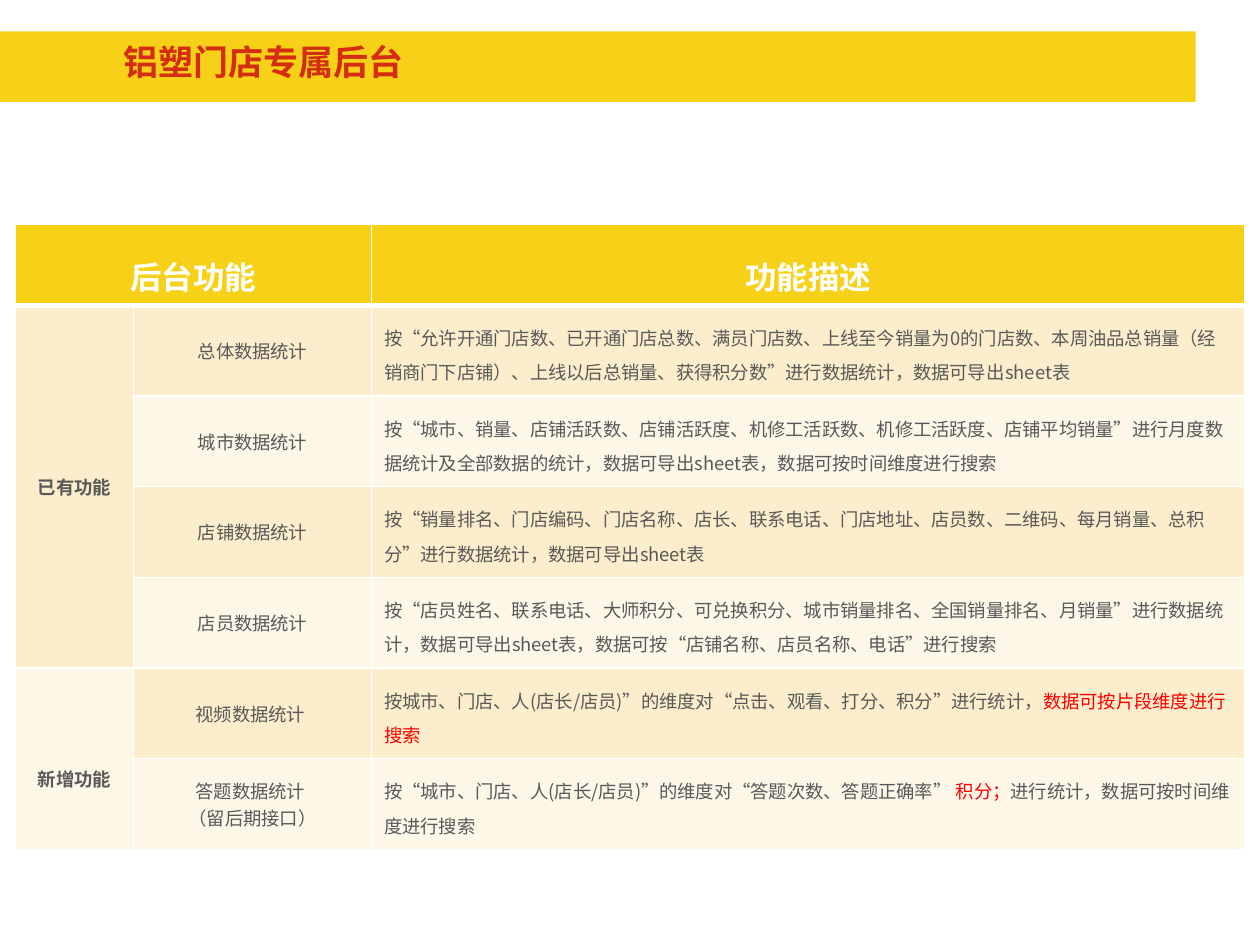
import pptx
import pptx.util
import pptx.dml.color
import pptx.enum.shapes
import pptx.enum.text
from lxml import etree
from pptx.oxml.ns import qn

Inches, Pt = pptx.util.Inches, pptx.util.Pt
PP, MSO = pptx.enum.text.PP_ALIGN, pptx.enum.text.MSO_ANCHOR

HEX = {"gold": "F7D117", "title": "D42E12", "white": "FFFFFF", "grey": "595959",
       "red": "FF0000", "dark": "FCEECC", "light": "FDF7E8"}
SANS = "Noto Sans CJK SC"
HEAD = {"size": Pt(18), "bold": True, "name": SANS}
GROUP = {"size": Pt(10.5), "bold": True, "name": SANS}
BODY = {"size": Pt(10.5), "bold": False, "name": SANS}

COLS = [0.94, 1.89, 6.93]
TOP, STEP = 0.63, 0.72
GROUPS = [("已有功能", 1, 4, "dark", 1), ("新增功能", 5, 6, "light", 2.5)]
ROWS = [
    ("总体数据统计", [("按“允许开通门店数、已开通门店总数、满员门店数、上线至今销量为0的门店数、本周油品总销量（经销商门下店铺）、上线以后总销量、获得积分数”进行数据统计，数据可导出sheet表", "grey")]),
    ("城市数据统计", [("按“城市、销量、店铺活跃数、店铺活跃度、机修工活跃数、机修工活跃度、店铺平均销量”进行月度数据统计及全部数据的统计，数据可导出sheet表，数据可按时间维度进行搜索", "grey")]),
    ("店铺数据统计", [("按“销量排名、门店编码、门店名称、店长、联系电话、门店地址、店员数、二维码、每月销量、总积分”进行数据统计，数据可导出sheet表", "grey")]),
    ("店员数据统计", [("按“店员姓名、联系电话、大师积分、可兑换积分、城市销量排名、全国销量排名、月销量”进行数据统计，数据可导出sheet表，数据可按“店铺名称、店员名称、电话”进行搜索", "grey")]),
    ("视频数据统计 ", [("按城市、门店、人(店长/店员)”的维度对“点击、观看、打分、积分”进行统计，", "grey"),
                 ("数据可按片段维度进行搜索", "red")]),
    ("答题数据统计 \v（留后期接口）", [("按“城市、门店、人(店长/店员)”的维度对“答题次数、答题正确率”", "grey"),
                          (" 积分；", "red"), ("进行统计，数据可按时间维度进行搜索", "grey")]),
]


def paint(fill, key):
    fill.solid()
    fill.fore_color.rgb = pptx.dml.color.RGBColor.from_string(HEX[key])


def style(font, fmt, key):
    for name, value in fmt.items():
        setattr(font, name, value)
    paint(font.fill, key)


def write(para, runs, fmt, align, space=1):
    """Fill a paragraph with (text, colour) runs in one format."""
    para.alignment, para.line_spacing = align, space
    for text, key in runs:
        for i, part in enumerate(text.split("\v")):
            if i:
                para.add_line_break()
            run = para.add_run()
            run.text = part
            style(run.font, fmt, key)
            # Chinese glyphs take their font from a:ea
            east = etree.Element(qn("a:ea"), typeface=fmt["name"])
            run.font._element.find(qn("a:latin")).addnext(east)


def edge(cell, low=1):
    """Draw white cell borders, the bottom one low points wide."""
    props = cell._tc.get_or_add_tcPr()
    for i, (side, wide) in enumerate([("L", 1), ("R", 1), ("T", 1), ("B", low)]):
        line = etree.Element(qn("a:ln" + side), w=str(Pt(wide)))
        fill = etree.SubElement(line, qn("a:solidFill"))
        etree.SubElement(fill, qn("a:srgbClr"), val=HEX["white"])
        props.insert(i, line)


def put(cell, runs, fill, fmt, align=PP.CENTER, space=1, anchor=MSO.MIDDLE):
    paint(cell.fill, fill)
    cell.vertical_anchor = anchor
    write(cell.text_frame.paragraphs[0], runs, fmt, align, space)


def banner(slide, left, top, width, height):
    band = slide.shapes.add_shape(pptx.enum.shapes.MSO_SHAPE.RECTANGLE,
                                  left, top, width, height)
    band.shadow.inherit = False
    paint(band.fill, "gold")
    band.line.fill.background()
    slide.shapes._spTree.insert(2, band._element)

    title = slide.shapes.title
    box = {"left": left + Inches(0.98), "top": top + Inches(0.07),
           "width": Inches(8.42), "height": Inches(0.46)}
    for name, value in box.items():
        setattr(title, name, value)
    frame = title.text_frame
    frame.vertical_anchor, frame.word_wrap = MSO.TOP, True
    for side in ("left", "top", "right", "bottom"):
        setattr(frame, "margin_" + side, 0)
    write(frame.paragraphs[0], [("铝塑门店专属后台", "title")],
          {"size": Pt(20), "bold": True, "name": "Quicksand"}, PP.LEFT)


def matrix(slide, left, top):
    count = len(ROWS)
    grid = slide.shapes.add_table(count + 1, len(COLS), left, top, Inches(sum(COLS)),
                                  Inches(TOP + STEP * count)).table
    for col, width in zip(grid.columns, COLS):
        col.width = Inches(width)
    for i, row in enumerate(grid.rows):
        row.height = Inches(STEP if i else TOP)
        for cell in row.cells:
            edge(cell, 1 if i else 3)

    grid.cell(0, 0).merge(grid.cell(0, 1))
    for col, text in ((0, "后台功能"), (2, "功能描述")):
        put(grid.cell(0, col), [(text, "white")], "gold", HEAD, space=1.5, anchor=MSO.TOP)
    for text, first, last, fill, space in GROUPS:
        grid.cell(first, 0).merge(grid.cell(last, 0))
        put(grid.cell(first, 0), [(text, "grey")], fill, GROUP, space=space)
    for i, (name, runs) in enumerate(ROWS, 1):
        fill = "dark" if i % 2 else "light"
        put(grid.cell(i, 1), [(name, "grey")], fill, BODY)
        put(grid.cell(i, 2), runs, fill, BODY, PP.LEFT, 1.3)


def main():
    deck = pptx.Presentation()
    deck.slide_width, deck.slide_height = Inches(10), Inches(7.5)
    slide = deck.slides.add_slide(deck.slide_layouts[5])
    banner(slide, 0, Inches(0.25), Inches(9.49), Inches(0.56))
    matrix(slide, Inches(0.12), Inches(1.78))
    deck.save("out.pptx")


if __name__ == "__main__":
    main()
